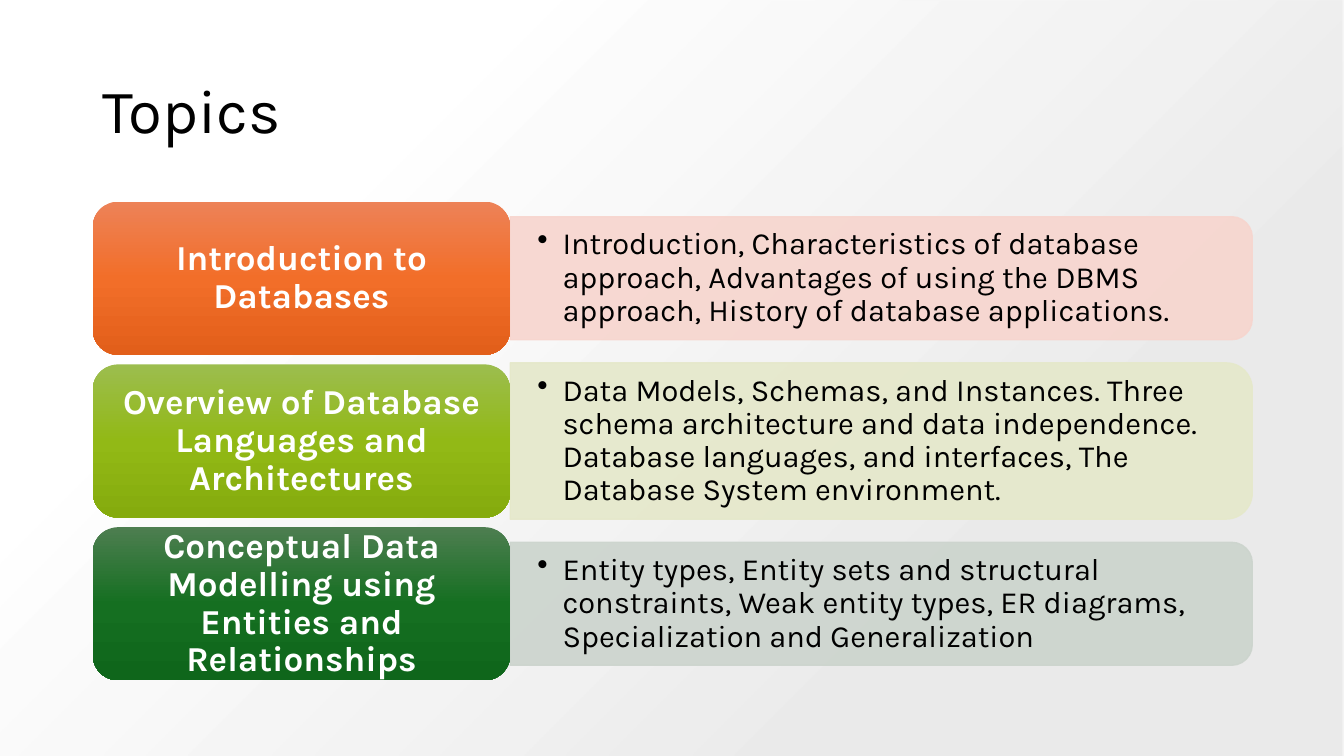
from dataclasses import dataclass

from lxml import etree
from pptx import Presentation
from pptx.dml.color import RGBColor
from pptx.enum import shapes, text
from pptx.oxml import ns
from pptx.slide import Slide
from pptx.util import Inches, Pt

BLACK = RGBColor(0x00, 0x00, 0x00)
WHITE = RGBColor(0xFF, 0xFF, 0xFF)
GREY = RGBColor(0xE8, 0xE8, 0xE8)
ORANGES = [RGBColor(0xED, 0x82, 0x57), RGBColor(0xF2, 0x6E, 0x29), RGBColor(0xE2, 0x5F, 0x1A)]
LIMES = [RGBColor(0x9C, 0xBD, 0x4E), RGBColor(0x92, 0xB9, 0x16), RGBColor(0x85, 0xAB, 0x0D)]
GREENS = [RGBColor(0x4D, 0x7E, 0x50), RGBColor(0x15, 0x6F, 0x21), RGBColor(0x0F, 0x66, 0x1B)]
PALE_RED = RGBColor(0xF7, 0xD5, 0xCE)
PALE_LIME = RGBColor(0xE5, 0xE8, 0xCA)
PALE_GREEN = RGBColor(0xCC, 0xD4, 0xCD)

WIDTH, HEIGHT = 13.33, 7.5
LABEL_LEFT, LABEL_WIDTH, LABEL_HEIGHT = 0.92, 4.14, 1.52
PANEL_LEFT, PANEL_WIDTH = LABEL_LEFT + LABEL_WIDTH, 7.36
FIRST_MIDDLE, ROW_PITCH = 2.76, 1.615

TOPICS = [
    ("Introduction to Databases",
     "Introduction, Characteristics of database approach, Advantages of using the DBMS "
     "approach, History of database applications.",
     ORANGES, PALE_RED, 1.22),
    ("Overview of Database Languages and Architectures",
     "Data Models, Schemas, and Instances. Three schema architecture and data independence. "
     "Database languages, and interfaces, The Database System environment.",
     LIMES, PALE_LIME, 1.55),
    ("Conceptual Data Modelling using Entities and Relationships",
     "Entity types, Entity sets and structural constraints, Weak entity types, ER diagrams, "
     "Specialization and Generalization",
     GREENS, PALE_GREEN, 1.22),
]


def add_child(parent, tag, **attributes):
    return etree.SubElement(parent, ns.qn(tag), **attributes)


def set_opacity(shape, percent):
    """Make the solid fill and the solid line of a shape partly transparent."""
    for solid in shape._element.spPr.iter(ns.qn("a:solidFill")):
        add_child(solid[0], "a:alpha", val=str(percent * 1000))


def set_gradient(shape, stops, opacity=100, radial=False):
    """Fill from (percent, colour) stops: downwards, or outwards from the lower right corner."""
    shape.fill.gradient()
    gradient = shape._element.spPr.find(ns.qn("a:gradFill"))
    for child in list(gradient):
        gradient.remove(child)
    stop_list = add_child(gradient, "a:gsLst")
    for percent, color in stops:
        stop = add_child(stop_list, "a:gs", pos=str(percent * 1000))
        value = add_child(stop, "a:srgbClr", val=str(color))
        if opacity < 100:
            add_child(value, "a:alpha", val=str(opacity * 1000))
    if radial:
        circle = add_child(gradient, "a:path", path="circle")
        add_child(circle, "a:fillToRect", l="100000", t="100000")
    else:
        add_child(gradient, "a:lin", ang="5400000", scaled="0")


@dataclass
class TopicPage:
    page: Slide
    font: str = "Karla"

    def set_text(self, box, words, size, color, bold=False, align=text.PP_ALIGN.LEFT,
                 insets=(0.1, 0.05), bullet=False):
        frame = box.text_frame
        frame.text = words
        frame.word_wrap = True
        frame.auto_size = text.MSO_AUTO_SIZE.NONE
        frame.vertical_anchor = text.MSO_ANCHOR.MIDDLE
        frame.margin_left = frame.margin_right = Inches(insets[0])
        frame.margin_top = frame.margin_bottom = Inches(insets[1])
        para = frame.paragraphs[0]
        para.alignment = align
        para.line_spacing = 0.9
        if bullet:
            para.level = 1
            properties = para._p.get_or_add_pPr()
            properties.set("marL", str(Inches(0.25)))
            properties.set("indent", str(Inches(-0.25)))
            add_child(properties, "a:buChar", char="•")
        font = para.runs[0].font
        font.name, font.size, font.bold = self.font, Pt(size), bold
        font.color.rgb = color

    def shape(self, kind, left, top, width, height):
        shape = self.page.shapes.add_shape(
            kind, Inches(left), Inches(top), Inches(width), Inches(height))
        shape.shadow.inherit = False
        shape.line.fill.background()
        return shape

    def backdrop(self):
        shape = self.shape(shapes.MSO_SHAPE.RECTANGLE, 0, 0, WIDTH, HEIGHT)
        set_gradient(shape, [(28, GREY), (74, WHITE)], opacity=84, radial=True)
        self.page.shapes.title._element.addprevious(shape._element)

    def title(self, words):
        title = self.page.shapes.title
        title.left, title.top = Inches(0.92), Inches(0.4)
        title.width, title.height = Inches(11.5), Inches(1.45)
        self.set_text(title, words, 44, BLACK)

    def panel(self, words, middle, height, color):
        """Add a panel rounded on its right side, with one bullet over it."""
        center = PANEL_LEFT + PANEL_WIDTH / 2
        panel = self.shape(shapes.MSO_SHAPE.ROUND_2_SAME_RECTANGLE, center - height / 2,
                           middle - PANEL_WIDTH / 2, height, PANEL_WIDTH)
        panel.rotation = 90
        panel.line.width = Pt(1)
        for fill in (panel.fill, panel.line.fill):
            fill.solid()
            fill.fore_color.rgb = color
        set_opacity(panel, 90)
        text_height = height * 0.9
        box = self.page.shapes.add_textbox(
            Inches(PANEL_LEFT), Inches(middle - text_height / 2), Inches(7.3), Inches(text_height))
        self.set_text(box, words, 22, BLACK, insets=(0.27, 0.14), bullet=True)

    def label(self, words, middle, colors):
        label = self.shape(shapes.MSO_SHAPE.ROUNDED_RECTANGLE, LABEL_LEFT,
                           middle - LABEL_HEIGHT / 2, LABEL_WIDTH, LABEL_HEIGHT)
        set_gradient(label, zip((0, 50, 100), colors))
        self.set_text(label, words, 25, WHITE, bold=True, align=text.PP_ALIGN.CENTER)


def main():
    deck = Presentation()
    deck.slide_width, deck.slide_height = Inches(WIDTH), Inches(HEIGHT)
    topic_page = TopicPage(deck.slides.add_slide(deck.slide_layouts[5]))
    topic_page.backdrop()
    topic_page.title("Topics")
    for row, (heading, details, colors, pale, height) in enumerate(TOPICS):
        middle = FIRST_MIDDLE + row * ROW_PITCH
        topic_page.panel(details, middle, height, pale)
        topic_page.label(heading, middle, colors)
    deck.save("out.pptx")


if __name__ == "__main__":
    main()
